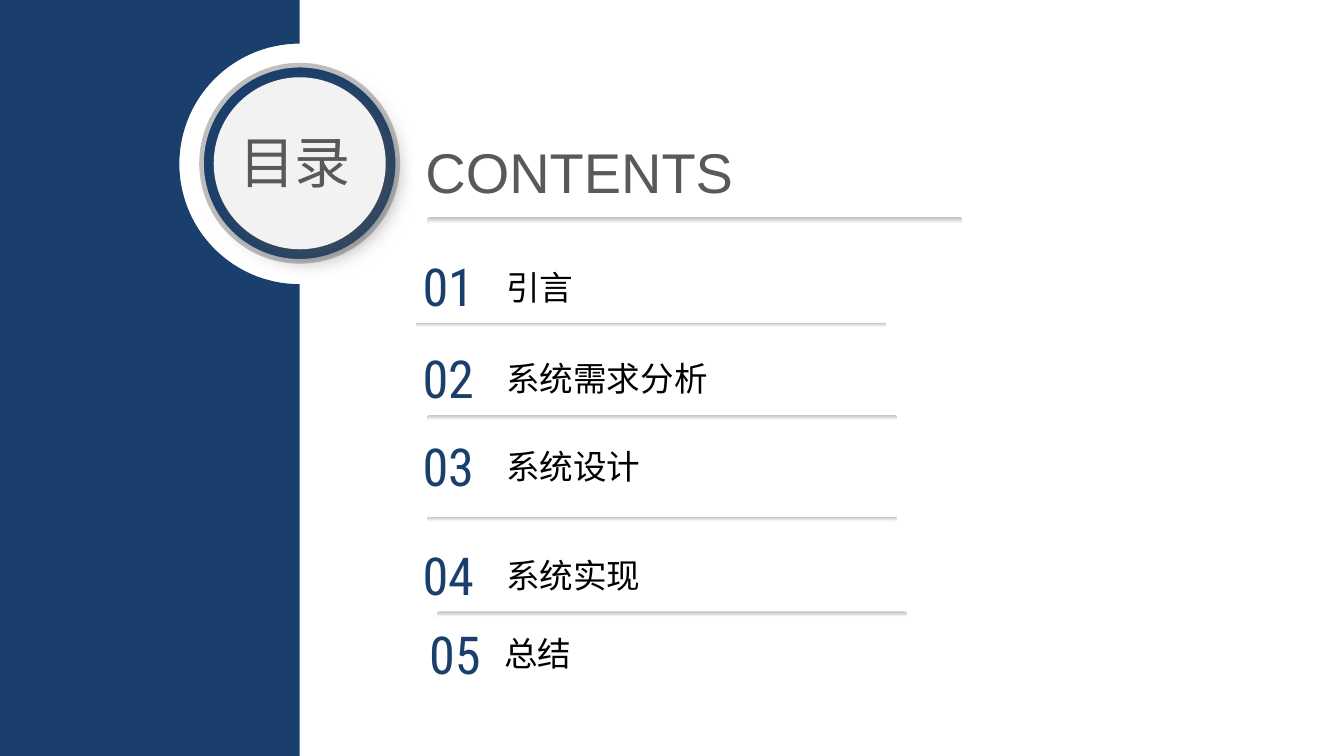
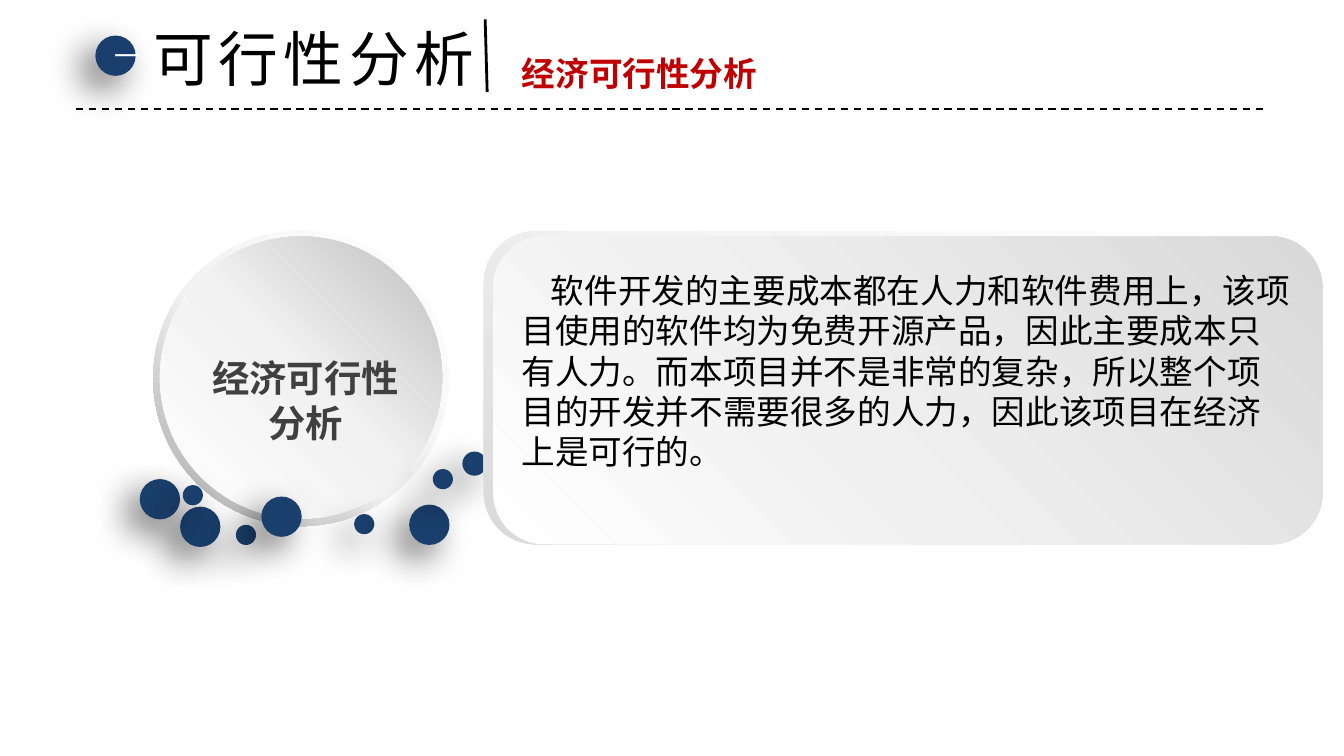
"""Builds a contents slide and a feasibility slide on a grid of 100 columns."""
import math
from pptx import Presentation
from pptx import util as u
from pptx.dml.color import RGBColor
from pptx.enum import dml, shapes, text
from pptx.oxml.ns import qn
from lxml import etree

CELL = u.Inches(0.1)
WIDE, HIGH = 100, 56.25
HUES = {"navy": "1A3F6C", "white": "FFFFFF", "black": "000000", "red": "C00000",
        "pale": "F2F2F2", "mist": "F0F0F0", "light": "D9D9D9", "grey": "BFBFBF",
        "mid": "A6A6A6", "dark": "404040", "slate": "595959", "shade": "525252"}
SANS = "Noto Sans CJK SC"
SLIM = (0.7, 0.4, 0.7, 0.4)
WIDTH = (1, 0.5, 1, 0.5)
KIND = shapes.MSO_SHAPE
LEFT, MID = text.PP_ALIGN.LEFT, text.PP_ALIGN.CENTER
TOPICS = [("01", "引言", 30.4, 18.55, 36.95, 19.45),
          ("02", "系统需求分析", 30.4, 25.35, 36.95, 26.2),
          ("03", "系统设计", 30.4, 31.9, 36.95, 32.75),
          ("04", "系统实现", 30.4, 40.05, 36.95, 40.9),
          ("05", "总结", 30.9, 45.9, 36.8, 46.7)]
RULES = [(30.95, 24, 35, 0.35), (31.8, 30.9, 34.95, 0.35), (31.8, 38.45, 34.95, 0.35),
         (32.5, 45.5, 35, 0.4), (31.8, 16.15, 39.8, 0.5)]
DOTS = [(13.4, 37.7, 3), (17.55, 39.05, 1.5), (19.45, 36.95, 3), (26.35, 38.25, 1.5),
        (10.4, 35.65, 3), (13.6, 36.1, 1.5), (30.45, 37.55, 3), (34.4, 33.6, 1.8),
        (32.2, 34.9, 1.5)]
BODY = ("软件开发的主要成本都在人力和软件费用上，该项目使用的软件均为免费开源产品，"
        "因此主要成本只有人力。而本项目并不是非常的复杂，所以整个项目的开发并不需要"
        "很多的人力，因此该项目在经济上是可行的。")


def grid(*cells):
    """Turn grid cells into lengths."""
    return [round(c * CELL) for c in cells]


def tint(name):
    """Give the colour of a hue name."""
    return RGBColor.from_string(HUES[name])


def sub(root, tag, **attrs):
    """Add a drawing element under a root."""
    return etree.SubElement(root, qn("a:" + tag), attrs)


def blend(shape, stops, angle):
    """Fill a shape with a straight gradient."""
    shape.fill.gradient()
    grad = shape._element.spPr.find(qn("a:gradFill"))
    for part in list(grad):
        grad.remove(part)
    row = sub(grad, "gsLst")
    for pos, hue in stops:
        sub(sub(row, "gs", pos=str(pos * 1000)), "srgbClr", val=HUES[hue])
    sub(grad, "lin", ang=str(angle * 60000), scaled="0")


def shade(shape, hue, alpha, blur, dist, angle):
    """Cast an outer shadow from a shape."""
    base = shape._element.spPr.find(qn("a:effectLst"))
    cast = sub(base, "outerShdw", blurRad=str(u.Pt(blur)), dist=str(u.Pt(dist)),
               dir=str(angle * 60000), algn="ctr", rotWithShape="0")
    sub(sub(cast, "srgbClr", val=HUES[hue]), "alpha", val=str(alpha * 1000))


def form(slide, kind, box, hue=None, adj=None):
    """Add a plain preset shape."""
    shape = slide.shapes.add_shape(kind, *grid(*box))
    shape.shadow.inherit = False
    shape.line.fill.background()
    if hue:
        shape.fill.solid()
        shape.fill.fore_color.rgb = tint(hue)
    if adj is not None:
        shape.adjustments[0] = adj
    return shape


def write(shape, words, size, font, hue, bold=False, align=LEFT, pad=WIDTH,
          wrap=True, top=True):
    """Set and format the text of a shape."""
    frame = shape.text_frame
    frame.text = words
    frame.word_wrap = wrap
    frame.vertical_anchor = text.MSO_ANCHOR.TOP if top else text.MSO_ANCHOR.MIDDLE
    frame.auto_size = (text.MSO_AUTO_SIZE.SHAPE_TO_FIT_TEXT if top
                       else text.MSO_AUTO_SIZE.NONE)
    (frame.margin_left, frame.margin_top,
     frame.margin_right, frame.margin_bottom) = grid(*pad)
    para = frame.paragraphs[0]
    para.alignment = align
    run = para.runs[0]
    run.font.size, run.font.bold, run.font.name = u.Pt(size), bold, font
    run.font.color.rgb = tint(hue)
    sub(run.font._element, "ea", typeface=font)
    return para


def label(slide, box, *args, **opts):
    """Add a text box."""
    return write(slide.shapes.add_textbox(*grid(*box)), *args, **opts)


def head(slide, box, *args, **opts):
    """Place and format the title."""
    title = slide.shapes.title
    title.left, title.top, title.width, title.height = grid(*box)
    return write(title, *args, **opts)


def rule(slide, ends, width, dash=None):
    """Draw a straight black line."""
    line = slide.shapes.add_connector(shapes.MSO_CONNECTOR.STRAIGHT, *grid(*ends))
    line.line.color.rgb = tint("black")
    line.line.width = u.Pt(width)
    if dash:
        line.line.dash_style = dash
    sub(line._element.spPr, "effectLst")


def dot(slide, x, y, size):
    """Add a navy dot with a soft shadow."""
    shape = form(slide, KIND.OVAL, (x, y, size, size), "navy")
    shade(shape, "black", 60, 20, 10, 135)
    return shape


def band(slide):
    """Draw the left band with its round notch."""
    edge, mid, rad = 22.3, 12.2, 8.95
    arc = [(edge - rad * math.sin(math.radians(a)), mid - rad * math.cos(math.radians(a)))
           for a in range(0, 181, 3)]
    pen = slide.shapes.build_freeform(-CELL, 0)
    pts = [(edge, 0), *arc, (edge, HIGH), (-1, HIGH)]
    pen.add_line_segments([grid(*p) for p in pts], close=True)
    shape = pen.convert_to_shape()
    shape.shadow.inherit = False
    shape.fill.solid()
    shape.fill.fore_color.rgb = tint("navy")
    shape.line.fill.background()


def badge(slide):
    """Draw the round badge of the contents slide."""
    ring = form(slide, KIND.OVAL, (15, 4.85, 14.6, 14.6), "navy")
    ring.line.color.rgb = tint("grey")
    ring.line.width = u.Pt(2.5)
    disc = form(slide, KIND.OVAL, (15.9, 5.75, 12.8, 12.8), "pale")
    shade(disc, "shade", 64, 12, 6, 45)
    label(slide, (15, 9.1, 13.9, 5.8), "目录", 30, "League Spartan", "slate",
          align=MID, pad=SLIM)


def contents(slide):
    """Fill the contents slide."""
    band(slide)
    badge(slide)
    head(slide, (30.95, 9.85, 34.8, 5.8), "CONTENTS", 30, "Arial", "slate", pad=SLIM)
    for box in RULES:
        bar = form(slide, KIND.ROUNDED_RECTANGLE, box, adj=0.5)
        blend(bar, [(0, "grey"), (100, "white")], 90)
    for num, name, x, y, left, top in TOPICS:
        label(slide, (x, y, 5.9, 5.5), num, 28, "Roboto Condensed", "navy",
              align=MID, pad=SLIM)
        label(slide, (left, top, 22.8, 3.8), name, 18, SANS, "black", pad=SLIM)


def banner(slide):
    """Draw the heading with its dot and lines."""
    rule(slide, (5.65, 8.1, 94.35, 8.1), 1, dml.MSO_LINE.DASH)
    write(dot(slide, 7.1, 2.65, 3), "一", 13.5, "Calibri", "white", align=MID, top=False)
    para = head(slide, (10.4, 1.1, 26.3, 6.4), "可行性分析", 32, SANS, "black", wrap=False)
    para.runs[0].font._element.set("spc", "300")
    label(slide, (37.85, 3.45, 19.5, 4), "经济可行性分析", 18, SANS, "red", True, wrap=False)
    rule(slide, (36.1, 1.45, 36.25, 6.85), 1.5)


def study(slide):
    """Fill the feasibility slide."""
    banner(slide)
    ring = form(slide, KIND.DONUT, (11.4, 17.15, 22, 22), adj=0.05)
    blend(ring, [(0, "white"), (55, "pale"), (100, "mid")], 135)
    disc = form(slide, KIND.OVAL, (11.9, 17.6, 21, 21))
    blend(disc, [(0, "white"), (51, "pale"), (100, "grey")], 315)
    for spot in DOTS:
        dot(slide, *spot)
    label(slide, (15.1, 26.45, 15.3, 6.7), "经济可行性分析", 20, SANS, "dark", True,
          align=MID, pad=(0, 0, 0, 0))
    back = form(slide, KIND.ROUNDED_RECTANGLE, (36, 17.2, 60.5, 23.3))
    blend(back, [(0, "white"), (62, "pale"), (100, "light")], 135)
    card = form(slide, KIND.ROUNDED_RECTANGLE, (36.7, 17.6, 61.7, 22.9))
    blend(card, [(0, "white"), (42, "mist"), (100, "light")], 315)
    para = write(card, BODY, 18, SANS, "black", pad=(1, 0.5, 1.2, 3.4), top=False)
    para._p.get_or_add_pPr().set("indent", str(u.Inches(0.22)))


def main():
    """Build both slides and save them."""
    deck = Presentation()
    deck.slide_width, deck.slide_height = grid(WIDE, HIGH)
    for fill in (contents, study):
        fill(deck.slides.add_slide(deck.slide_layouts[5]))
    deck.save("out.pptx")


if __name__ == "__main__":
    main()
